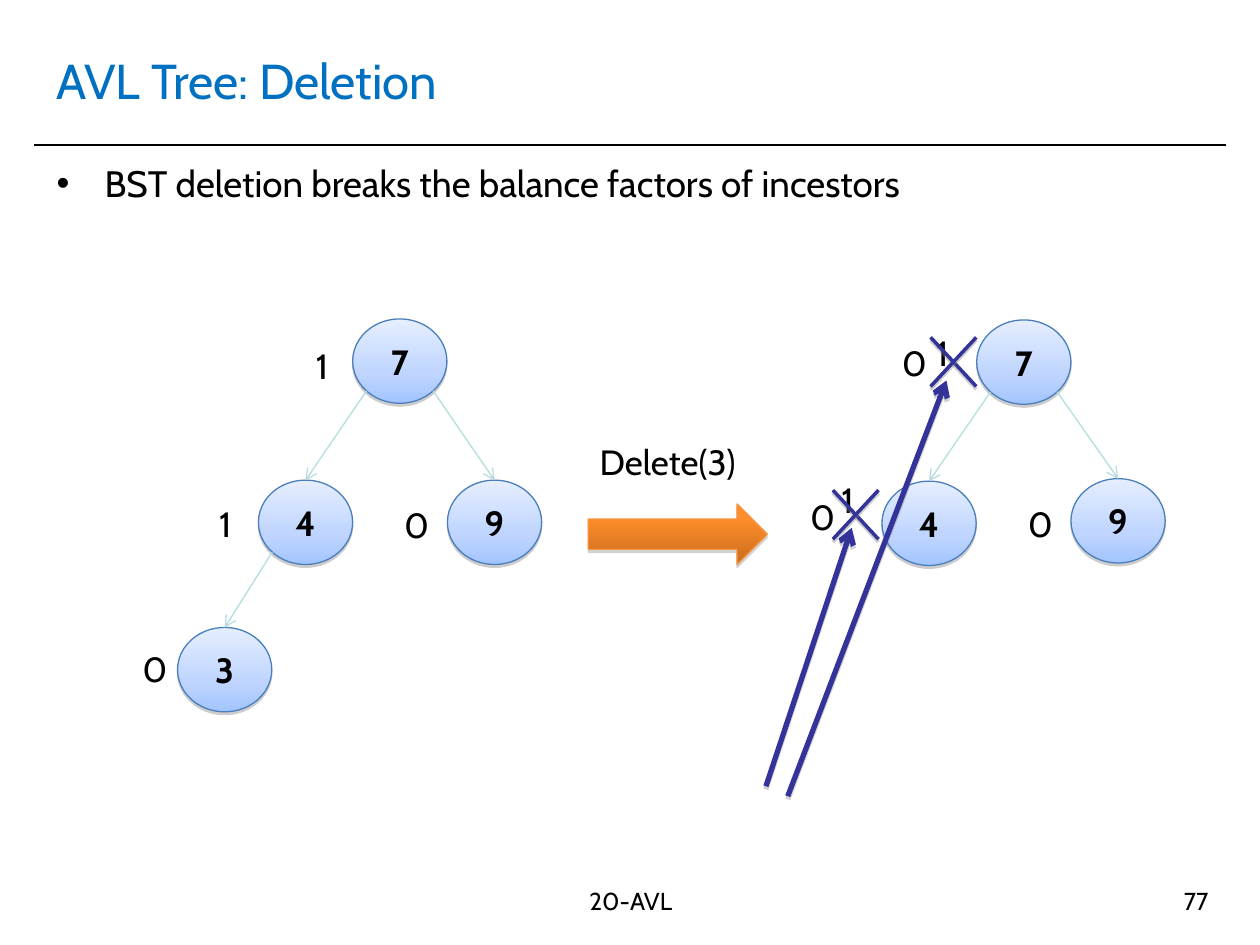
from dataclasses import dataclass
from typing import NamedTuple, Optional

from lxml.etree import SubElement
from pptx import Presentation
from pptx.dml.color import RGBColor
from pptx.enum.shapes import MSO_CONNECTOR, MSO_SHAPE
from pptx.enum.text import MSO_ANCHOR, MSO_AUTO_SIZE, PP_ALIGN
from pptx.oxml.ns import qn
from pptx.util import Cm, Pt


class Shadow(NamedTuple):
    opacity: int
    distance: float


class Stop(NamedTuple):
    percent: int
    color: str


@dataclass(frozen=True)
class Theme:
    font: str = "Cabin"
    ink: str = "000000"
    title: str = "0070C0"
    node_line: str = "4A7EBB"
    edge: str = "B6DCDF"
    mark: str = "333399"
    arrow_line: str = "F69240"
    shadow: str = "808080"
    node_fill: tuple = (Stop(0, "E5EEFF"), Stop(65, "BFD5FF"), Stop(100, "A3C4FF"))
    arrow_fill: tuple = (Stop(0, "FF8F26"), Stop(20, "FF8F2A"), Stop(100, "CB6C1D"))
    light_shadow: Shadow = Shadow(38, 1.6)
    deep_shadow: Shadow = Shadow(35, 1.8)
    title_size: int = 28
    body_size: int = 21
    label_size: int = 20
    footer_size: int = 14
    thin: float = 0.75
    rule: float = 1
    strike: float = 2
    pointer: float = 3


THEME = Theme()
NODE_WIDTH, NODE_HEIGHT = 1.9, 1.7
DIAGONAL = 0.146
STRIKE_WIDTH, STRIKE_HEIGHT = 0.92, 0.99


@dataclass(frozen=True)
class Node:
    key: str
    left: float
    top: float


@dataclass(frozen=True)
class Label:
    text: str
    left: float
    top: float
    width: float = 0.89


def set_shadow(item, shadow: Optional[Shadow] = None) -> None:
    properties = item._element.spPr
    for old in properties.findall(qn("a:effectLst")):
        properties.remove(old)
    effects = SubElement(properties, qn("a:effectLst"))
    if shadow:
        outer = SubElement(effects, qn("a:outerShdw"), blurRad="0",
                           dist=str(Pt(shadow.distance)), dir="5400000", rotWithShape="0")
        color = SubElement(outer, qn("a:srgbClr"), val=THEME.shadow)
        SubElement(color, qn("a:alpha"), val=str(shadow.opacity * 1000))


def draw_line(page, start: tuple, end: tuple, color: str, width: float,
              arrow: bool = False, shadow: Optional[Shadow] = None) -> None:
    line = page.shapes.add_connector(MSO_CONNECTOR.STRAIGHT, *map(Cm, start + end))
    line.line.color.rgb = RGBColor.from_string(color)
    line.line.width = Pt(width)
    if arrow:
        SubElement(line.line._get_or_add_ln(), qn("a:tailEnd"), type="arrow")
    set_shadow(line, shadow)


def draw_shape(page, kind, place: tuple, stops: tuple, outline: str, shadow: Shadow):
    shape = page.shapes.add_shape(kind, *map(Cm, place))
    shape.fill.gradient()
    shape.fill.gradient_angle = 270
    stop_list = shape._element.spPr.find(qn("a:gradFill")).find(qn("a:gsLst"))
    for old in list(stop_list):
        stop_list.remove(old)
    for stop in stops:
        entry = SubElement(stop_list, qn("a:gs"), pos=str(stop.percent * 1000))
        SubElement(entry, qn("a:srgbClr"), val=stop.color)
    shape.line.color.rgb = RGBColor.from_string(outline)
    shape.line.width = Pt(THEME.thin)
    set_shadow(shape, shadow)
    return shape


def write(box, text: str, size: int, color: str = THEME.ink,
          align=PP_ALIGN.LEFT, bold: bool = False):
    para = box.text_frame.paragraphs[0]
    para.alignment = align
    span = para.add_run()
    span.text = text
    span.font.name = THEME.font
    span.font.size = Pt(size)
    span.font.bold = bold
    span.font.color.rgb = RGBColor.from_string(color)
    return para


def add_box(page, place: tuple, wrap: bool = True, anchor=MSO_ANCHOR.TOP):
    box = page.shapes.add_textbox(*map(Cm, place))
    box.text_frame.word_wrap = wrap
    box.text_frame.vertical_anchor = anchor
    return box


def draw_label(page, label: Label) -> None:
    box = add_box(page, (label.left, label.top, label.width, 1.12), wrap=False)
    box.text_frame.auto_size = MSO_AUTO_SIZE.SHAPE_TO_FIT_TEXT
    write(box, label.text, THEME.label_size)


def draw_node(page, node: Node) -> None:
    circle = draw_shape(page, MSO_SHAPE.OVAL, (node.left, node.top, NODE_WIDTH, NODE_HEIGHT),
                        THEME.node_fill, THEME.node_line, THEME.light_shadow)
    circle.text_frame.vertical_anchor = MSO_ANCHOR.MIDDLE
    write(circle, node.key, THEME.label_size, align=PP_ALIGN.CENTER, bold=True)


def draw_edge(page, parent: Node, child: Node) -> None:
    side = DIAGONAL if child.left < parent.left else 1 - DIAGONAL
    start = (parent.left + NODE_WIDTH * side, parent.top + NODE_HEIGHT * (1 - DIAGONAL))
    end = (child.left + NODE_WIDTH / 2, child.top)
    draw_line(page, start, end, THEME.edge, THEME.thin, arrow=True)


def draw_tree(page, nodes: list, edges: list) -> None:
    for node in nodes:
        draw_node(page, node)
    for parent, child in edges:
        draw_edge(page, nodes[parent], nodes[child])


def draw_strike(page, left: float, top: float) -> None:
    right, bottom = left + STRIKE_WIDTH, top + STRIKE_HEIGHT
    for start, end in (((left, top), (right, bottom)), ((right, top), (left, bottom))):
        draw_line(page, start, end, THEME.mark, THEME.strike, shadow=THEME.light_shadow)


def draw_frame(page) -> None:
    draw_line(page, (0.69, 2.92), (24.71, 2.92), THEME.ink, THEME.rule)
    title = add_box(page, (0.89, 0.53, 23.6, 2.16), anchor=MSO_ANCHOR.MIDDLE)
    write(title, "AVL Tree: Deletion", THEME.title_size, THEME.title)
    body = add_box(page, (0.89, 3.12, 23.6, 14.2))
    para = write(body, "BST deletion breaks the balance factors of incestors", THEME.body_size)
    settings = para._p.get_or_add_pPr()
    settings.set("marL", str(Cm(0.97)))
    settings.set("indent", str(Cm(-0.97)))
    color = SubElement(settings, qn("a:buClr"))
    SubElement(color, qn("a:srgbClr"), val=THEME.ink)
    SubElement(settings, qn("a:buFont"), typeface="Arial")
    SubElement(settings, qn("a:buChar"), char="•")
    footer = add_box(page, (8.51, 17.73, 8.41, 1.32))
    write(footer, "20-AVL", THEME.footer_size, align=PP_ALIGN.CENTER)
    number = add_box(page, (18.69, 17.73, 5.92, 1.32))
    write(number, "77", THEME.footer_size, align=PP_ALIGN.RIGHT)


def main() -> None:
    deck = Presentation()
    deck.slide_width, deck.slide_height = Cm(25.4), Cm(19.05)
    page = deck.slides.add_slide(deck.slide_layouts[6])
    draw_frame(page)
    before = [Node("7", 7.11, 6.43), Node("4", 5.21, 9.68),
              Node("9", 9.02, 9.68), Node("3", 3.58, 12.65)]
    after = [Node("7", 19.69, 6.45), Node("4", 17.78, 9.7), Node("9", 21.59, 9.65)]
    draw_tree(page, before, [(0, 1), (0, 2), (1, 3)])
    draw_tree(page, after, [(0, 1), (0, 2)])
    draw_shape(page, MSO_SHAPE.RIGHT_ARROW, (11.86, 10.16, 3.61, 1.22),
               THEME.arrow_fill, THEME.arrow_line, THEME.deep_shadow)
    labels = [Label("Delete(3)", 11.84, 8.76, 3.45),
              Label("1", 6.12, 6.83), Label("1", 4.17, 10.01),
              Label("0", 2.62, 12.93), Label("0", 7.9, 10.03),
              Label("1", 18.62, 6.55), Label("1", 16.71, 9.53), Label("0", 20.47, 10.01),
              Label("0", 16.08, 9.86), Label("0", 17.93, 6.76)]
    for label in labels:
        draw_label(page, label)
    for start, end in (((15.44, 15.85), (17.17, 10.64)), ((15.88, 16.05), (19.08, 7.67))):
        draw_line(page, start, end, THEME.mark, THEME.pointer, True, THEME.deep_shadow)
    draw_strike(page, 18.76, 6.8)
    draw_strike(page, 16.79, 9.88)
    deck.save("out.pptx")


if __name__ == "__main__":
    main()
